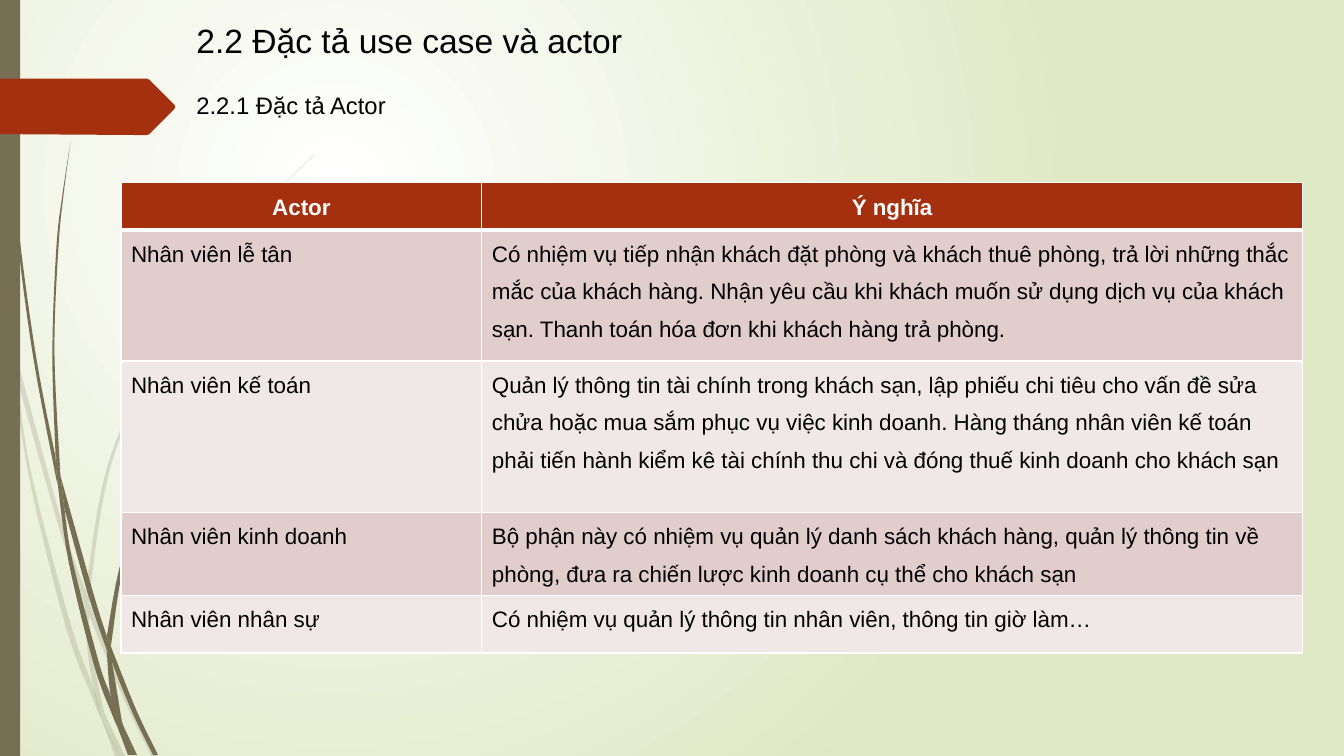
from itertools import product

from lxml import etree
from pptx import Presentation
from pptx.dml.color import RGBColor
from pptx.enum.shapes import MSO_SHAPE
from pptx.enum.text import PP_ALIGN
from pptx.oxml import parse_xml
from pptx.oxml.ns import nsdecls, qn
from pptx.util import Pt

RECTANGLE = MSO_SHAPE.RECTANGLE
CENTER, LEFT = PP_ALIGN.CENTER, PP_ALIGN.LEFT
FONT = "Arial"
COLORS = {
    "white": "FFFFFF", "black": "000000", "leaf": "DFE8C4", "stem": "766F54",
    "rust": "A53010", "odd_row": "E1CDCC", "even_row": "F0E8E7",
}
PAGE_WIDTH, PAGE_HEIGHT = 960, 540

HEADINGS = [
    ("2.2 Đặc tả use case và actor", 24, (133.2, 10.8, 324, 65.5)),
    ("2.2.1 Đặc tả Actor", 17, (133.2, 61.2, 251.3, 69.1)),
]
ACTORS = [
    ("Actor", "Ý nghĩa"),
    ("Nhân viên lễ tân",
     "Có nhiệm vụ tiếp nhận khách đặt phòng và khách thuê phòng, trả lời những thắc mắc "
     "của khách hàng. Nhận yêu cầu khi khách muốn sử dụng dịch vụ của khách sạn. "
     "Thanh toán hóa đơn khi khách hàng trả phòng."),
    ("Nhân viên kế toán",
     "Quản lý thông tin tài chính trong khách sạn, lập phiếu chi tiêu cho vấn đề sửa chửa "
     "hoặc mua sắm phục vụ việc kinh doanh. Hàng tháng nhân viên kế toán phải tiến hành "
     "kiểm kê tài chính thu chi và đóng thuế kinh doanh cho khách sạn"),
    ("Nhân viên kinh doanh",
     "Bộ phận này có nhiệm vụ quản lý danh sách khách hàng, quản lý thông tin về phòng, "
     "đưa ra chiến lược kinh doanh cụ thể cho khách sạn"),
    ("Nhân viên nhân sự", "Có nhiệm vụ quản lý thông tin nhân viên, thông tin giờ làm…"),
]
TABLE_LEFT, TABLE_TOP = 86.4, 130.3
COLUMN_WIDTHS = [257.8, 586.1]
ROW_HEIGHTS = [34, 93.6, 108, 59.4, 41.2]

BANNER = [(0, 56.2), (105, 56.2), (106.6, 56.9), (124.6, 74.9), (125.2, 76.3),
          (124.6, 77.8), (106.6, 95.8), (105, 96.5), (0, 95.8)]
PALE_BLADES = [
    ([(7.9, 252), (6.5, 231.8), (0, 203)], [(0, 215.3), (7.2, 247.7)]),
    ([(12.2, 270.7), (41.8, 375.8), (60.5, 431.3)],
     [(61.2, 421.9), (44.6, 374.4), (10.1, 248.4)]),
    ([(63.4, 439.2), (88.6, 499.7), (108, 540)],
     [(111.6, 540), (91.4, 498.2), (66.2, 437), (63.4, 429.1)]),
    ([(75.6, 511.9), (85.7, 540)], [(89.3, 540)]),
    ([(7.9, 252), (20.2, 338.4), (46.8, 447.1), (66.2, 499), (72.7, 514.1)],
     [(71.3, 509), (67, 491.8), (50.4, 445.7), (22.3, 337.7), (12.2, 270.7)]),
    ([(60.5, 431.3), (62.6, 465.1), (67, 491.8), (75.6, 511.9)],
     [(74.2, 508.3), (65.5, 465.1), (63.4, 439.2)]),
    ([(63.4, 429.1), (79.2, 332.6), (115.2, 251.3), (164.9, 176.4), (193, 142.6),
      (208.8, 126), (224.6, 110.9)],
     [(224.6, 110.2), (208.1, 126), (193, 141.8), (164.2, 175.7), (113.8, 250.6),
      (77, 331.9), (61.2, 421.9)]),
    ([(72.7, 514.1), (82.1, 540)], [(85.7, 540)]),
    ([(63.4, 439.2), (63.4, 429.1)], [(61.2, 421.9), (60.5, 431.3)]),
    ([(67, 491.8), (72.7, 514.1), (85.7, 540)], [(75.6, 511.9), (69.1, 498.2)]),
]
DARK_BLADES = [
    ([(2.2, 0), (2.9, 34.6), (5, 79.2), (12.2, 167.8), (23.8, 255.6), (41, 346.3)],
     [(39.6, 326.2), (25.9, 255.6), (13.7, 167), (5.8, 78.5), (3.6, 34.6), (2.9, 0)]),
    ([(46.1, 363.6), (63.4, 426.2), (76.3, 464.4)],
     [(76.3, 454.3), (67, 424.8), (43.2, 339.8)]),
    ([(79.2, 461.5), (79.9, 472.3), (95, 509.8), (109.4, 539.3)],
     [(113, 539.3), (97.9, 508.3), (81.4, 467.3)]),
    ([(41, 343.4), (49, 401), (67, 474.5), (79.9, 509.8), (84.2, 519.8)],
     [(83.5, 516.2), (79.2, 497.5), (70.6, 473), (51.8, 400.3), (46.1, 363.6)]),
    ([(43.2, 339.8), (38.9, 251.3), (41.8, 176.4), (45.4, 139), (50.4, 101.5)],
     [(50.4, 101.5), (44.6, 139), (40.3, 176.4), (37.4, 251.3), (39.6, 323.3)]),
    ([(87.8, 517.7), (95.8, 539.3)], [(97.9, 539.3)]),
    ([(39.6, 323.3), (41, 343.4), (46.1, 363.6)], [(43.2, 339.8)]),
    ([(79.2, 461.5), (90, 397.4), (113.8, 342.7), (147.6, 292.3), (166.3, 269.3),
      (176.4, 258.5), (187.9, 247.7)],
     [(187.2, 247.7), (176.4, 257.8), (166.3, 268.6), (146.9, 291.6), (112.3, 341.3),
      (87.8, 396.7), (76.3, 454.3)]),
    ([(84.2, 519.8), (91.4, 539.3)], [(94.3, 539.3)]),
    ([(76.3, 464.4), (79.2, 497.5), (87.8, 517.7)],
     [(87.1, 515.5), (79.9, 472.3), (78.5, 468.7)]),
    ([(76.3, 464.4), (79.9, 472.3)], [(79.2, 461.5), (76.3, 454.3)]),
    ([(79.2, 497.5), (84.2, 519.8), (93.6, 539.3)],
     [(95.8, 539.3), (87.8, 517.7), (83.5, 508.3)]),
]


def rgb(name):
    return RGBColor.from_string(COLORS[name])


def smooth_edge(points, steps=6):
    padded = [points[0], *points, points[-1]]
    curve = [points[0]]
    for index, step in product(range(len(points) - 1), range(1, steps + 1)):
        t = step / steps
        curve.append(tuple(
            b + ((c - a) * t + (2 * a - 5 * b + 4 * c - d) * t ** 2
                 + (3 * b - a - 3 * c + d) * t ** 3) / 2
            for a, b, c, d in zip(*padded[index:index + 4])))
    return curve


def paint(shape, color, opacity=100):
    shape.shadow.inherit = False
    shape.fill.solid()
    shape.fill.fore_color.rgb = rgb(color)
    shape.line.fill.background()
    if opacity < 100:
        tint = shape._element.spPr.find(".//" + qn("a:srgbClr"))
        etree.SubElement(tint, qn("a:alpha"), val=str(opacity * 1000))


def add_outline(shapes, points, color, opacity=100):
    corners = [(Pt(x), Pt(y)) for x, y in points]
    builder = shapes.build_freeform(*corners[0])
    builder.add_line_segments(corners[1:], close=True)
    paint(builder.convert_to_shape(), color, opacity)


def add_grass(page, blades, opacity):
    grass = page.shapes.add_group_shape()
    for blade in blades:
        outline = [point for edge in blade for point in smooth_edge(edge)]
        add_outline(grass.shapes, outline, "stem", opacity)


def write(frame, text, size, color="black", bold=False, align=LEFT, spacing=None):
    frame.word_wrap = True
    para = frame.paragraphs[0]
    para.text = text
    para.alignment, para.line_spacing = align, spacing
    font = para.runs[0].font
    font.name, font.size, font.bold = FONT, Pt(size), bold
    font.color.rgb = rgb(color)


def set_borders(cell, bottom):
    properties = cell._tc.get_or_add_tcPr()
    for index, (side, width) in enumerate([("L", 1), ("R", 1), ("T", 1), ("B", bottom)]):
        properties.insert(index, parse_xml(
            f'<a:ln{side} {nsdecls("a")} w="{Pt(width)}"><a:solidFill>'
            f'<a:srgbClr val="{COLORS["white"]}"/></a:solidFill></a:ln{side}>'))


def add_background(page):
    fill = page.background.fill
    fill.gradient()
    for stop, color in zip(fill.gradient_stops, ["white", "leaf"]):
        stop.color.rgb = rgb(color)
    gradient = page._element.find(".//" + qn("a:gradFill"))
    gradient.replace(gradient.find(qn("a:lin")), parse_xml(
        f'<a:path {nsdecls("a")} path="circle">'
        '<a:fillToRect l="50000" t="50000" r="100000" b="100000"/></a:path>'))


def add_actor_table(page):
    table = page.shapes.add_table(
        len(ROW_HEIGHTS), len(COLUMN_WIDTHS), Pt(TABLE_LEFT), Pt(TABLE_TOP),
        Pt(sum(COLUMN_WIDTHS)), Pt(sum(ROW_HEIGHTS))).table
    for column, width in zip(table.columns, COLUMN_WIDTHS):
        column.width = Pt(width)
    for number, (row, height, texts) in enumerate(zip(table.rows, ROW_HEIGHTS, ACTORS)):
        row.height = Pt(height)
        header = number == 0
        band = "rust" if header else "odd_row" if number % 2 else "even_row"
        for cell, text in zip(row.cells, texts):
            cell.margin_top = cell.margin_bottom = 0
            cell.fill.solid()
            cell.fill.fore_color.rgb = rgb(band)
            set_borders(cell, 3 if header else 1)
            write(cell.text_frame, text, 16, "white" if header else "black", header,
                  CENTER if header else LEFT, 1.5)


def main():
    """Build the actor specification slide."""
    deck = Presentation()
    deck.slide_width, deck.slide_height = Pt(PAGE_WIDTH), Pt(PAGE_HEIGHT)
    page = deck.slides.add_slide(deck.slide_layouts[6])
    add_background(page)
    add_grass(page, PALE_BLADES, 20)
    add_grass(page, DARK_BLADES, 100)
    paint(page.shapes.add_shape(RECTANGLE, 0, 0, Pt(14.4), Pt(PAGE_HEIGHT)), "stem")
    add_outline(page.shapes, BANNER, "rust")
    add_actor_table(page)
    for text, size, bounds in HEADINGS:
        write(page.shapes.add_textbox(*map(Pt, bounds)).text_frame, text, size)
    deck.save("out.pptx")


if __name__ == "__main__":
    main()
